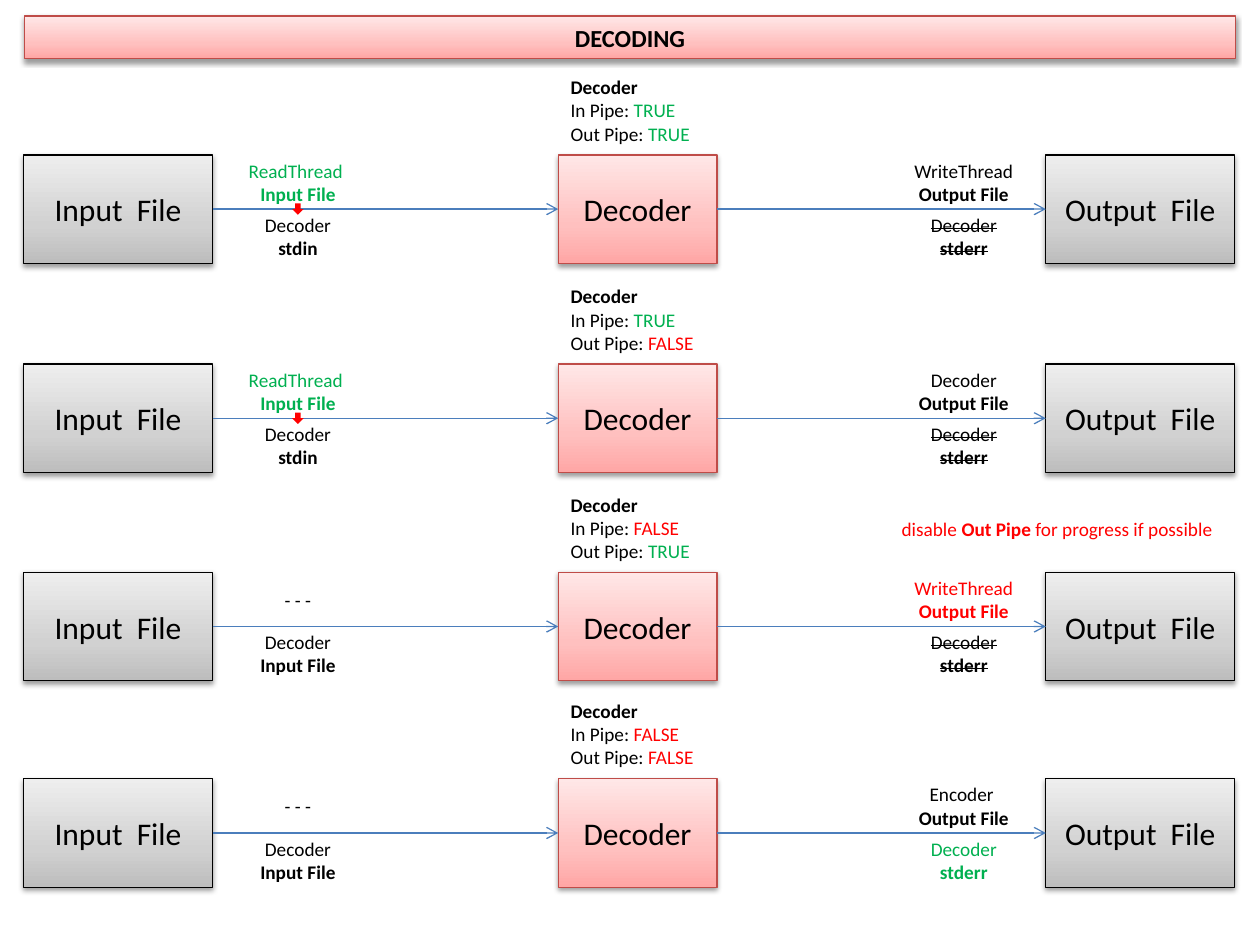
from dataclasses import dataclass

from lxml import etree
from pptx import Presentation
from pptx import util as u
from pptx.dml.color import RGBColor
from pptx.enum import shapes, text
from pptx.oxml.ns import qn


@dataclass(frozen=True)
class Theme:
    font: str = "Calibri"
    black: str = "000000"
    green: str = "00B050"
    red: str = "FF0000"
    arrow: str = "4B7EBC"
    # Outline, then gradient stops from bottom to top
    process: tuple = ("BF4C48", ((0, "FFA6A5"), (35, "FFC0BF"), (100, "FFE7E7")))
    file: tuple = ("000000", ((0, "BDBDBD"), (35, "D1D1D1"), (100, "EEEEEE")))
    title_size: float = 14
    box_size: float = 18
    label_size: float = 11
    line_width: float = 0.75


THEME = Theme()

BOX_HEIGHT = 62
HALF = BOX_HEIGHT / 2
INPUT = (13.5, 108)
DECODER = (319, 90.7)
OUTPUT = (597.6, 108)
READ_LABEL = (121, 98.6)
WRITE_LABEL = (501.5, 98.6)
PIPE_LABEL = (319, 92)
PIPE_HEIGHT = 51
MARKER_SIZE = 6.5


def add_xml(parent, tag, **attributes):
    return etree.SubElement(parent, qn(tag), {key: str(value) for key, value in attributes.items()})


def plain(content, color=THEME.black, **options):
    """Return one run as its text, colour and font options."""
    return content, color, options


def pair(first, second, color=THEME.black, **options):
    """Return a regular line above a bold line."""
    return [[plain(first, color, **options)], [plain(second, color, bold=True, **options)]]


def flag(name, value):
    return [plain(f"{name} Pipe: "), plain(str(value).upper(), THEME.green if value else THEME.red)]


class Diagram:
    def __init__(self, slide, theme):
        self.slide = slide
        self.theme = theme

    def set_text(self, shape, paragraphs, size, align=text.PP_ALIGN.CENTER, wrap=True):
        frame = shape.text_frame
        settings = {
            "word_wrap": wrap,
            "auto_size": text.MSO_AUTO_SIZE.NONE,
            "vertical_anchor": text.MSO_ANCHOR.MIDDLE,
        }
        for name, value in settings.items():
            setattr(frame, name, value)
        for index, runs in enumerate(paragraphs):
            paragraph = frame.add_paragraph() if index else frame.paragraphs[0]
            paragraph.alignment = align
            for content, color, options in runs:
                run = paragraph.add_run()
                run.text = content
                run.font.color.rgb = RGBColor.from_string(color)
                font_format = {"name": self.theme.font, "size": u.Pt(size), "bold": options.get("bold", False)}
                for name, value in font_format.items():
                    setattr(run.font, name, value)
                if options.get("strike"):
                    run.font._element.set("strike", "sngStrike")

    def outline(self, line, color):
        line.color.rgb = RGBColor.from_string(color)
        line.width = u.Pt(self.theme.line_width)

    def decorate(self, shape, look):
        """Give a shape its gradient, outline and soft shadow."""
        color, stops = look
        shape.fill.gradient()
        shape.fill.gradient_angle = 90
        properties = shape._element.spPr
        stop_list = properties.find(".//" + qn("a:gsLst"))
        for stop in list(stop_list):
            stop_list.remove(stop)
        for position, stop_color in stops:
            stop = add_xml(stop_list, "a:gs", pos=position * 1000)
            add_xml(stop, "a:srgbClr", val=stop_color)
        self.outline(shape.line, color)
        shape.shadow.inherit = False
        shadow = add_xml(properties.find(qn("a:effectLst")), "a:outerShdw", blurRad=u.Pt(3.1),
                         dist=u.Pt(1.6), dir=5400000, rotWithShape=0)
        add_xml(add_xml(shadow, "a:srgbClr", val=self.theme.black), "a:alpha", val=38000)

    def title(self, content, left, top, width, height):
        shape = self.slide.shapes.title
        for name, value in {"left": left, "top": top, "width": width, "height": height}.items():
            setattr(shape, name, u.Pt(value))
        self.decorate(shape, self.theme.process)
        self.set_text(shape, [[plain(content, bold=True)]], self.theme.title_size)

    def box(self, content, column, top, look):
        left, width = column
        shape = self.slide.shapes.add_shape(
            shapes.MSO_SHAPE.RECTANGLE, u.Pt(left), u.Pt(top), u.Pt(width), u.Pt(BOX_HEIGHT))
        self.decorate(shape, look)
        self.set_text(shape, [[plain(content)]], self.theme.box_size)
        return shape

    def label(self, paragraphs, column, top, height=HALF, align=text.PP_ALIGN.CENTER):
        left, width = column
        shape = self.slide.shapes.add_textbox(u.Pt(left), u.Pt(top), u.Pt(width), u.Pt(height))
        self.set_text(shape, paragraphs, self.theme.label_size, align, wrap=False)

    def arrow(self, source, target):
        connector = self.slide.shapes.add_connector(shapes.MSO_CONNECTOR.STRAIGHT, 0, 0, 0, 0)
        connector.begin_connect(source, 3)
        connector.end_connect(target, 1)
        self.outline(connector.line, self.theme.arrow)
        properties = connector._element.spPr
        add_xml(properties.find(qn("a:ln")), "a:tailEnd", type="arrow")
        add_xml(properties, "a:effectLst")

    def marker(self, left, top):
        shape = self.slide.shapes.add_shape(
            shapes.MSO_SHAPE.DOWN_ARROW, u.Pt(left), u.Pt(top), u.Pt(MARKER_SIZE), u.Pt(MARKER_SIZE))
        shape.fill.solid()
        shape.fill.fore_color.rgb = RGBColor.from_string(self.theme.red)
        shape.line.fill.background()
        shape.shadow.inherit = False

    def stage(self, top, in_pipe, out_pipe, writer, error):
        """Draw one row: input file, decoder and output file with their labels."""
        source = self.box("Input  File", INPUT, top, self.theme.file)
        decoder = self.box("Decoder", DECODER, top, self.theme.process)
        target = self.box("Output  File", OUTPUT, top, self.theme.file)
        self.arrow(source, decoder)
        self.arrow(decoder, target)

        pipes = [[plain("Decoder", bold=True)], flag("In", in_pipe), flag("Out", out_pipe)]
        self.label(pipes, PIPE_LABEL, top - PIPE_HEIGHT, PIPE_HEIGHT, text.PP_ALIGN.LEFT)
        if in_pipe:
            reader = pair("ReadThread ", "Input File", self.theme.green)
        else:
            reader = [[plain("- - -")]]
        self.label(reader, READ_LABEL, top)
        self.label(pair("Decoder", "stdin" if in_pipe else "Input File"), READ_LABEL, top + HALF)
        self.label(writer, WRITE_LABEL, top)
        self.label(error, WRITE_LABEL, top + HALF)
        if in_pipe:
            self.marker(167, top + HALF - MARKER_SIZE / 2)


def main():
    presentation = Presentation()
    presentation.slide_width, presentation.slide_height = u.Pt(720), u.Pt(540)
    slide = presentation.slides.add_slide(presentation.slide_layouts[5])
    diagram = Diagram(slide, THEME)
    diagram.title("DECODING", 14, 9.2, 692, 24.3)

    unused_error = pair("Decoder", "stderr", strike=True)
    stages = [
        (88.5, True, True, pair("WriteThread", "Output File"), unused_error),
        (208, True, False, pair("Decoder", "Output File"), unused_error),
        (327, False, True, pair("WriteThread", "Output File", THEME.red), unused_error),
        (445, False, False, pair("Encoder ", "Output File"), pair("Decoder", "stderr", THEME.green)),
    ]
    for stage in stages:
        diagram.stage(*stage)

    hint = [plain("disable ", THEME.red), plain("Out Pipe", THEME.red, bold=True),
            plain(" for progress if possible", THEME.red)]
    diagram.label([hint], (502.5, 203), 286.5)
    presentation.save("out.pptx")


if __name__ == "__main__":
    main()
